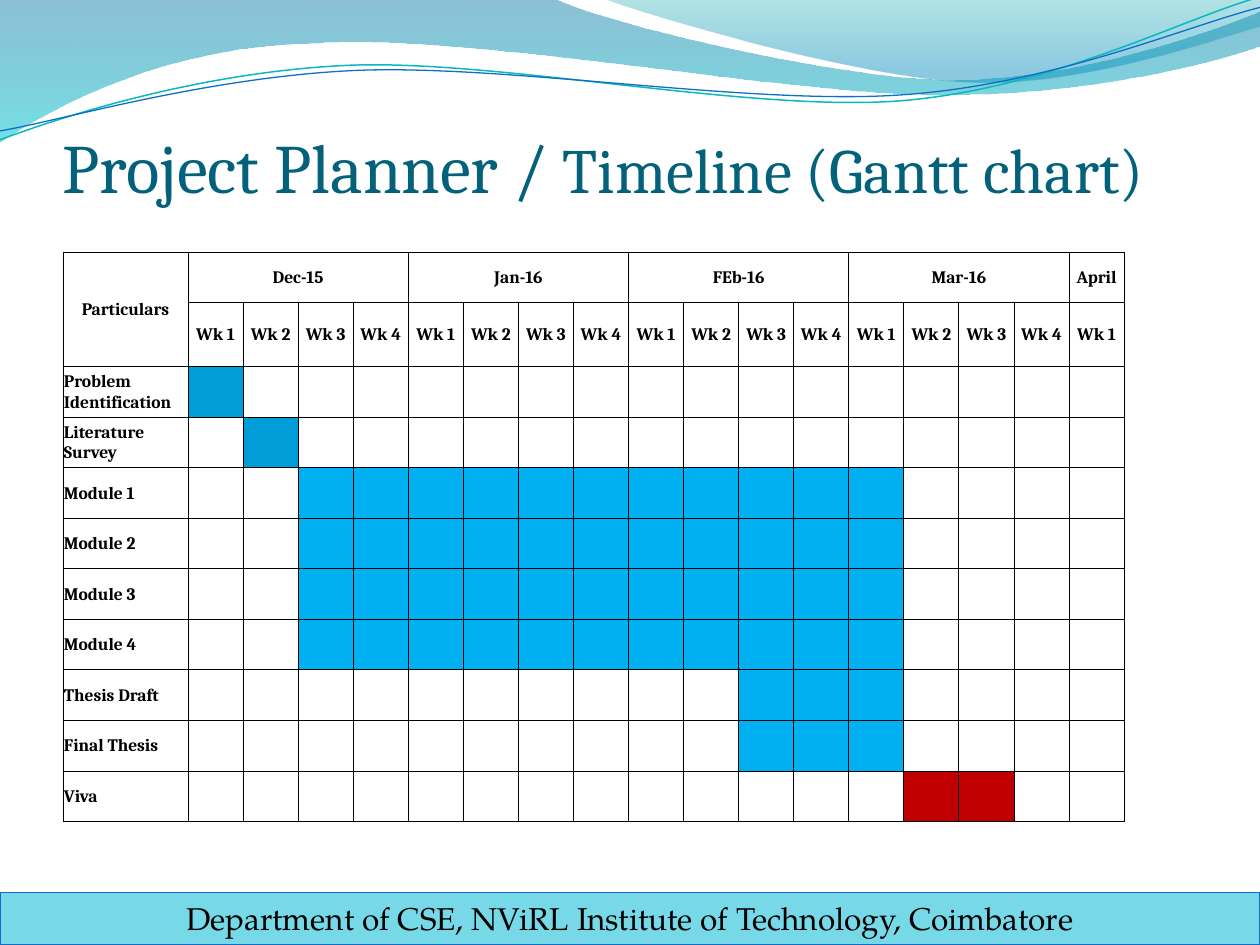
from collections import namedtuple
from dataclasses import dataclass

from lxml.etree import SubElement
from pptx import Presentation
from pptx.dml.color import RGBColor
from pptx.enum.shapes import MSO_SHAPE
from pptx.enum.text import MSO_ANCHOR as Anchor, MSO_AUTO_SIZE as AutoSize, PP_ALIGN as Align
from pptx.oxml import parse_xml
from pptx.oxml.ns import nsdecls, qn
from pptx.util import Cm, Pt

Box = namedtuple("Box", "left top width height")


@dataclass(frozen=True)
class Theme:
    """Colours, fonts and type sizes of the slide."""
    title: str = "04617B"
    ink: str = "000000"
    footer: str = "77D9E8"
    edge: str = "0F6FC6"
    teal_line: str = "0AB8BF"
    early: str = "009DD9"
    work: str = "00B0F0"
    viva: str = "C00000"
    wide_wave: tuple = ((0, "0074A1", 45), (1, "00C6CF", 55))
    right_wave: tuple = ((0, "00A1A9", 30), (0.8, "008BBF", 45))
    heading_font: str = "Cambria"
    footer_font: str = "TeX Gyre Pagella"
    title_size: float = 39.6
    subtitle_size: float = 36
    footer_size: float = 18
    table_size: float = 10


THEME = Theme()
LINE_TILT = 357.3

# Waves in cm: a pair is a straight step, six numbers are a Bezier step.
WIDE_WAVE = [(0, 0), (11.18, -0.03), (12.09, 0.43, 16.87, 1.6, 19.25, 1.6),
             (21.67, 1.6, 24.33, 0.66, 25.4, 0.23), (25.43, 0.91),
             (24.97, 1.12, 22.1, 1.93, 18.95, 1.91),
             (15.8, 1.91, 9.7, 0.71, 6.53, 0.86),
             (3.28, 0.91, 1.17, 2.11, -0.03, 2.87)]
RIGHT_WAVE = [(12.17, -0.03), (12.93, 0.28, 17.32, 1.57, 19.53, 1.65),
              (21.74, 1.75, 24.41, 0.81, 25.4, 0.53), (25.4, 0)]
# The two lines are given level and tilted once drawn.
TEAL_LINE = [(-0.05, 2.22), (1.19, 1.82, 4.02, 1.04, 7.05, 1.05),
             (10.05, 1.07, 15.02, 2.37, 18.08, 2.29),
             (21.13, 2.2, 23.87, 0.91, 25.41, 0.55)]
BLUE_LINE = [(-0.04, 2.04), (1.16, 1.9, 4.18, 1.15, 7.2, 1.16),
             (10.25, 1.18, 15.13, 2.25, 18.18, 2.17),
             (21.21, 2.1, 23.93, 1.06, 25.45, 0.75)]

MONTHS = [("Dec-15", 4), ("Jan-16", 4), ("FEb-16", 4), ("Mar-16", 4), ("April", 1)]
# Task, first week, last week, bar colour
TASKS = [("Problem Identification", 1, 1, THEME.early),
         ("Literature Survey", 2, 2, THEME.early),
         *[(f"Module {number}", 3, 13, THEME.work) for number in range(1, 5)],
         ("Thesis Draft", 11, 13, THEME.work),
         ("Final Thesis", 11, 13, THEME.work),
         ("Viva", 14, 15, THEME.viva)]


def color(value):
    """Turn a hex string into a colour."""
    return RGBColor.from_string(value)


def lengths(box):
    """Give a box in cm as four lengths."""
    return [Cm(value) for value in box]


def set_margins(target, left, top, right, bottom):
    """Set the inner margins, in cm, of a text frame or cell."""
    target.margin_left, target.margin_top = Cm(left), Cm(top)
    target.margin_right, target.margin_bottom = Cm(right), Cm(bottom)


def add_text(paragraph, text, size, font=THEME.heading_font, fill=THEME.ink,
             bold=False, align=Align.LEFT):
    """Add a formatted run to a paragraph."""
    paragraph.alignment = align
    run = paragraph.add_run()
    run.text = text
    run.font.name, run.font.size, run.font.bold = font, Pt(size), bold
    run.font.color.rgb = color(fill)


def add_outline(slide, box, outline, close):
    """Draw straight and Bezier steps relative to the corner of the box."""
    points = [(Cm(box.left + x), Cm(box.top + y)) for step in outline
              for x, y in zip(step[::2], step[1::2])]
    builder = slide.shapes.build_freeform(*points[0])
    builder.add_line_segments(points[1:], close=close)
    shape = builder.convert_to_shape()
    shape.shadow.inherit = False
    segments = iter(list(shape._element.spPr.iter(qn("a:lnTo"))))
    for step in outline[1:]:
        segment = next(segments)
        if len(step) == 6:
            curve = SubElement(segment.getparent(), qn("a:cubicBezTo"))
            segment.addprevious(curve)
            for part in (segment, next(segments), next(segments)):
                curve.append(part[0])
                part.getparent().remove(part)
    return shape


def add_waves(slide, box):
    """Draw the two shaded waves and the two thin lines over them."""
    for outline, stops in ((WIDE_WAVE, THEME.wide_wave), (RIGHT_WAVE, THEME.right_wave)):
        shape = add_outline(slide, box, outline, True)
        shape.line.fill.background()
        shape.fill.gradient()
        shape.fill.gradient_angle = 270
        for stop, (position, value, _) in zip(shape.fill.gradient_stops, stops):
            stop.position, stop.color.rgb = position, color(value)
        tints = shape._element.spPr.iter(qn("a:srgbClr"))
        for tint, (_, _, opacity) in zip(list(tints), stops):
            tint.append(parse_xml(f'<a:alpha {nsdecls("a")} val="{opacity * 1000}"/>'))
    for outline, value, width in ((TEAL_LINE, THEME.teal_line, 0.85),
                                  (BLUE_LINE, THEME.edge, 0.75)):
        shape = add_outline(slide, box, outline, False)
        shape.rotation = LINE_TILT
        shape.fill.background()
        shape.line.color.rgb, shape.line.width = color(value), Pt(width)


def add_title(slide, box):
    """Write the title with its smaller second part."""
    frame = slide.shapes.add_textbox(*lengths(box)).text_frame
    frame.word_wrap, frame.vertical_anchor = True, Anchor.BOTTOM
    set_margins(frame, 0, 0.13, 0, 0)
    for text, size in (("Project Planner / ", THEME.title_size),
                       ("Timeline (Gantt chart)", THEME.subtitle_size)):
        add_text(frame.paragraphs[0], text, size, fill=THEME.title)


def add_footer(slide, box):
    """Draw the footer band with the department name."""
    shape = slide.shapes.add_shape(MSO_SHAPE.RECTANGLE, *lengths(box))
    shape.shadow.inherit = False
    shape.fill.solid()
    shape.fill.fore_color.rgb = color(THEME.footer)
    shape.line.color.rgb, shape.line.width = color(THEME.edge), Pt(0.75)
    frame = shape.text_frame
    frame.word_wrap, frame.auto_size = True, AutoSize.SHAPE_TO_FIT_TEXT
    frame.vertical_anchor = Anchor.TOP
    add_text(frame.paragraphs[0],
             "Department of CSE, NViRL Institute of Technology, Coimbatore",
             THEME.footer_size, THEME.footer_font, align=Align.CENTER)


def style_cell(cell):
    """Give a cell thin borders, no fill and tight margins."""
    cell.vertical_anchor = Anchor.MIDDLE
    set_margins(cell, 0.02, 0.02, 0.02, 0)
    cell.fill.background()
    properties = cell._tc.get_or_add_tcPr()
    for index, side in enumerate("LRTB"):
        properties.insert(index, parse_xml(
            f'<a:ln{side} {nsdecls("a")} w="{Pt(0.5)}"><a:solidFill>'
            f'<a:srgbClr val="{THEME.ink}"/></a:solidFill></a:ln{side}>'))


def add_gantt(slide, box, label_width=2.52, header_height=1.29):
    """Build the plan: months and weeks on top, one row for each task."""
    weeks = sum(count for _, count in MONTHS)
    table = slide.shapes.add_table(len(TASKS) + 2, weeks + 1, *lengths(box)).table
    table.first_row = table.horz_banding = False
    for column in table.columns:
        column.width = Cm((box.width - label_width) / weeks)
    for row in table.rows:
        row.height = Cm((box.height - header_height) / (len(TASKS) + 1))
    table.columns[0].width, table.rows[1].height = Cm(label_width), Cm(header_height)
    for cell in table.iter_cells():
        style_cell(cell)

    def write(row, column, text, align=Align.CENTER):
        add_text(table.cell(row, column).text_frame.paragraphs[0], text,
                 THEME.table_size, bold=True, align=align)

    table.cell(0, 0).merge(table.cell(1, 0))
    write(0, 0, "Particulars")
    first = 1
    for month, count in MONTHS:
        if count > 1:
            table.cell(0, first).merge(table.cell(0, first + count - 1))
        write(0, first, month)
        for week in range(count):
            write(1, first + week, f"Wk {week + 1}")
        first += count
    for row, (task, start, end, value) in enumerate(TASKS, 2):
        write(row, 0, task, Align.LEFT)
        for column in range(start, end + 1):
            fill = table.cell(row, column).fill
            fill.solid()
            fill.fore_color.rgb = color(value)


presentation = Presentation()
presentation.slide_width, presentation.slide_height = Cm(25.4), Cm(19.05)
slide = presentation.slides.add_slide(presentation.slide_layouts[6])
add_waves(slide, Box(0, 0, 25.4, 2.87))
add_title(slide, Box(1.27, 2.34, 22.86, 1.85))
add_footer(slide, Box(0, 17.99, 25.4, 1.06))
add_gantt(slide, Box(1.27, 5.08, 21.4, 11.48))
presentation.save("out.pptx")
